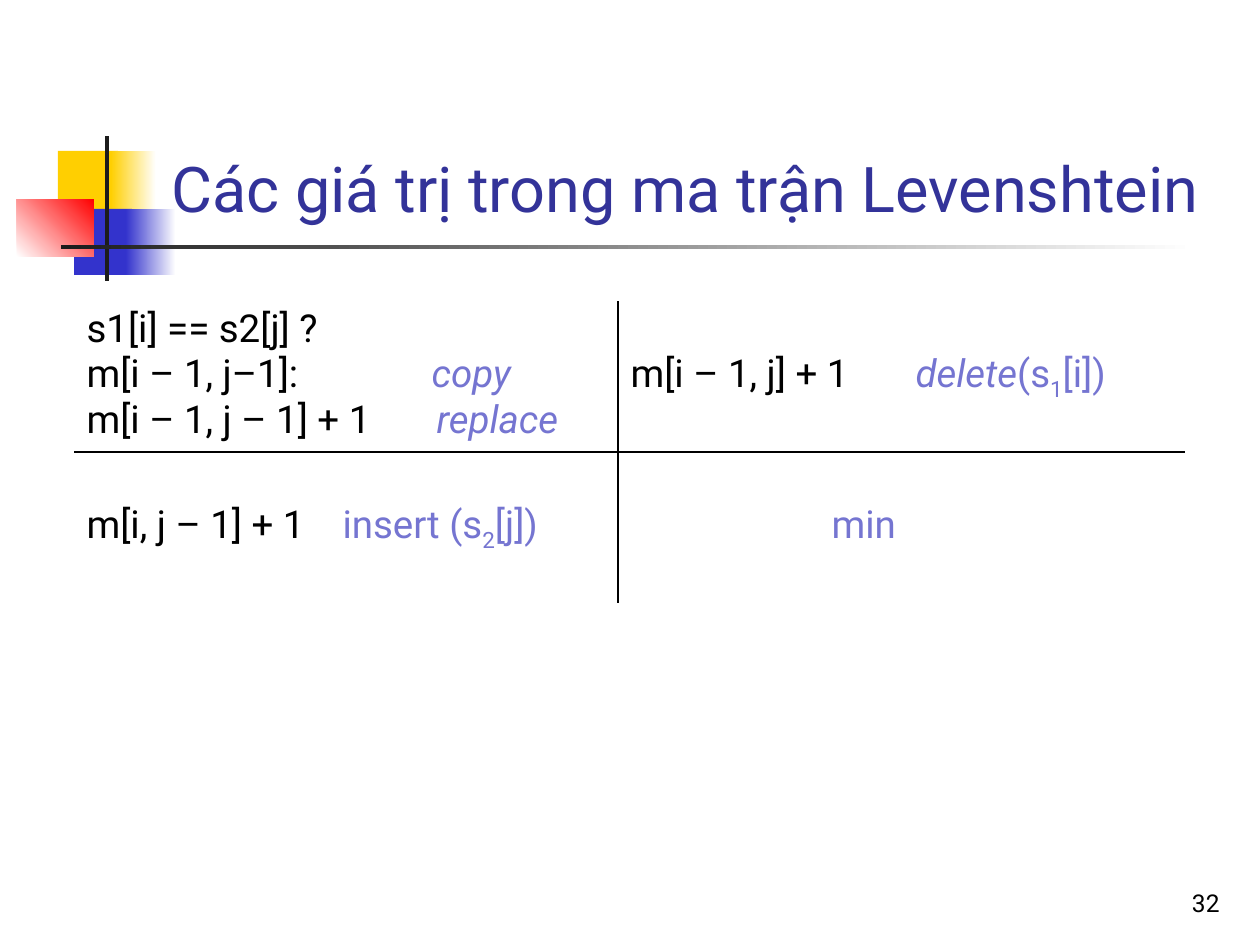
from dataclasses import dataclass

from lxml.etree import SubElement
from pptx import Presentation
from pptx.dml.color import RGBColor
from pptx.enum.shapes import MSO_SHAPE
from pptx.enum.text import MSO_ANCHOR, PP_ALIGN
from pptx.oxml import parse_xml
from pptx.oxml.ns import nsdecls, qn
from pptx.util import Emu, Pt


@dataclass(frozen=True)
class Theme:
    font: str = "Roboto"
    title: str = "333399"
    text: str = "000000"
    accent: str = "7575D1"
    yellow: str = "FFCF01"
    blue: str = "3333CC"
    red: str = "FF0000"
    dark: str = "1C1C1C"
    white: str = "FFFFFF"
    title_size: int = 36
    table_size: int = 22
    number_size: int = 14


@dataclass(frozen=True)
class Block:
    left: int
    top: int
    width: int
    height: int
    start: str
    end: str = ""
    angle: int = 0


@dataclass(frozen=True)
class Span:
    text: str
    color: str
    italic: bool = False
    subscript: bool = False


@dataclass(frozen=True)
class Line:
    spans: tuple[Span, ...]
    tab: int = 0


@dataclass(frozen=True)
class Cell:
    lines: tuple[Line, ...]
    borders: str
    margin_top: int


THEME = Theme()
EMU_PER_PIXEL = 914400 / 126


def px(length: int) -> Emu:
    return Emu(round(length * EMU_PER_PIXEL))


def color(value: str) -> RGBColor:
    return RGBColor.from_string(value)


def add_block(page, block: Block) -> None:
    shape = page.shapes.add_shape(MSO_SHAPE.RECTANGLE, px(block.left), px(block.top),
                                  px(block.width), px(block.height))
    shape.shadow.inherit = False
    shape.line.fill.background()
    if not block.end:
        shape.fill.solid()
        shape.fill.fore_color.rgb = color(block.start)
        return
    shape.fill.gradient()
    shape.fill.gradient_angle = block.angle
    for stop, value in zip(shape.fill.gradient_stops, (block.start, block.end)):
        stop.color.rgb = color(value)


def add_span(para, span: Span, size: int) -> None:
    run = para.add_run()
    run.text = span.text
    run.font.name = THEME.font
    run.font.size = Pt(size)
    run.font.color.rgb = color(span.color)
    run.font.italic = span.italic
    if span.subscript:
        run.font._element.set("baseline", "-25000")


def add_text(page, left: int, top: int, width: int, height: int,
             span: Span, size: int, align: PP_ALIGN) -> None:
    box = page.shapes.add_textbox(px(left), px(top), px(width), px(height))
    frame = box.text_frame
    frame.word_wrap = True
    frame.vertical_anchor = MSO_ANCHOR.BOTTOM
    para = frame.paragraphs[0]
    para.alignment = align
    add_span(para, span, size)


def set_borders(cell, sides: str) -> None:
    properties = cell._tc.get_or_add_tcPr()
    for index, side in enumerate("LRTB"):
        fill = (f'<a:solidFill><a:srgbClr val="{THEME.text}"/></a:solidFill>'
                if side in sides else "<a:noFill/>")
        properties.insert(index, parse_xml(
            f'<a:ln{side} {nsdecls("a")} w="12700">{fill}</a:ln{side}>'))


def fill_cell(cell, content: Cell) -> None:
    cell.fill.background()
    set_borders(cell, content.borders)
    cell.margin_top = px(content.margin_top)
    for index, line in enumerate(content.lines):
        frame = cell.text_frame
        para = frame.add_paragraph() if index else frame.paragraphs[0]
        if line.tab:
            tabs = SubElement(para._p.get_or_add_pPr(), qn("a:tabLst"))
            SubElement(tabs, qn("a:tab"), pos=str(px(line.tab)), algn="l")
        for span in line.spans:
            add_span(para, span, THEME.table_size)


def plain(text: str) -> Span:
    return Span(text, THEME.text)


def accent(text: str, italic: bool = False, subscript: bool = False) -> Span:
    return Span(text, THEME.accent, italic, subscript)


deck = Presentation()
deck.slide_width, deck.slide_height = px(1260), px(945)
page = deck.slides.add_slide(deck.slide_layouts[6])

# Coloured squares and rules beside the title
BLOCKS = (
    Block(58, 151, 60, 66, THEME.yellow),
    Block(111, 151, 45, 66, THEME.yellow, THEME.white),
    Block(74, 209, 58, 66, THEME.blue),
    Block(126, 209, 50, 66, THEME.blue, THEME.white),
    Block(17, 199, 77, 58, THEME.white, THEME.red, 45),
    Block(105, 136, 4, 145, THEME.dark),
    Block(61, 245, 1134, 4, THEME.dark, THEME.white),
)
for block in BLOCKS:
    add_block(page, block)

# Title
add_text(page, 159, 29, 1073, 202,
         Span("Các giá trị trong ma trận Levenshtein", THEME.title),
         THEME.title_size, PP_ALIGN.LEFT)

# Matrix of the four neighbouring values
TOP, SECOND_LINE = 6, 51
CELLS = (
    (Cell((Line((plain("s1[i] == s2[j] ?"),)),
           Line((plain("m[i – 1, j–1]:\t"), accent("copy", italic=True)), 345),
           Line((plain("m[i – 1, j – 1] + 1\t"), accent("replace", italic=True)), 350)),
          "RB", TOP),
     Cell((Line((plain("m[i – 1, j] + 1\t"), accent("delete", italic=True), accent("(s"),
                 accent("1", subscript=True), accent("[i])")), 285),),
          "LB", SECOND_LINE)),
    (Cell((Line((plain("m[i, j – 1] + 1\t"), accent("insert (s"),
                 accent("2", subscript=True), accent("[j])")), 256),),
          "RT", SECOND_LINE),
     Cell((Line((plain("\t"), accent("min")), 201),), "LT", SECOND_LINE)),
)
COLUMN_WIDTHS = (544, 567)
ROW_HEIGHT = 151
table = page.shapes.add_table(len(CELLS), len(COLUMN_WIDTHS), px(74), px(301),
                              px(sum(COLUMN_WIDTHS)), px(ROW_HEIGHT * len(CELLS))).table
table.first_row = table.horz_banding = False
for column, width in zip(table.columns, COLUMN_WIDTHS):
    column.width = px(width)
for row, contents in zip(table.rows, CELLS):
    row.height = px(ROW_HEIGHT)
    for cell, content in zip(row.cells, contents):
        fill_cell(cell, content)

# Page number
add_text(page, 970, 861, 262, 63, plain("32"), THEME.number_size, PP_ALIGN.RIGHT)

deck.save("out.pptx")
